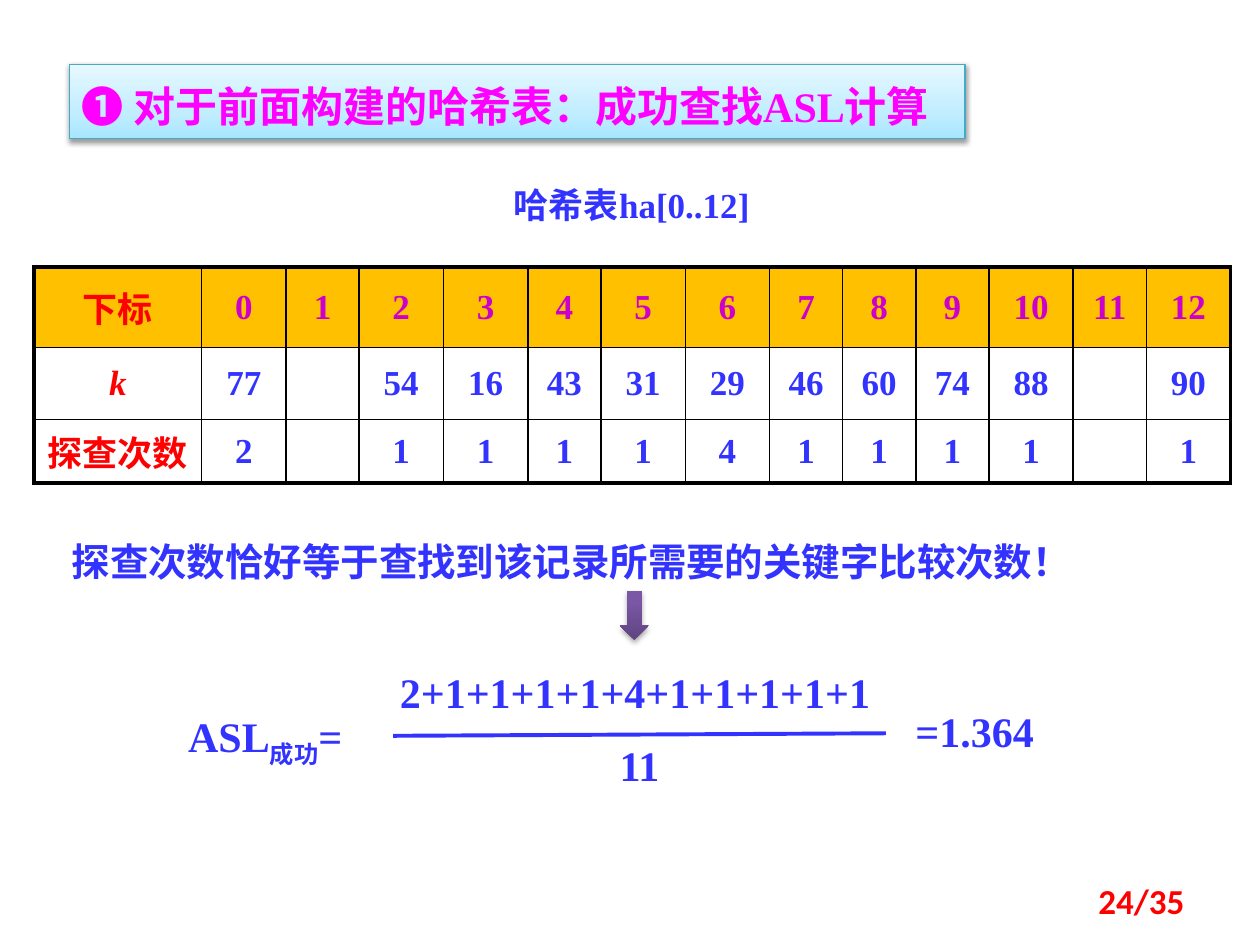
import pptx
import pptx.util
import pptx.dml.color
import pptx.enum.shapes
import pptx.enum.text
import pptx.oxml
import pptx.oxml.ns
from lxml import etree

Inches = pptx.util.Inches
Pt = pptx.util.Pt
KIND = pptx.enum.shapes.MSO_SHAPE
ALIGN = pptx.enum.text.PP_ALIGN
ANCHOR = pptx.enum.text.MSO_ANCHOR
qn = pptx.oxml.ns.qn

HUES = {
    "ink": "3333FF", "red": "FF0000", "pink": "FF00FF", "plum": "CC00CC",
    "gold": "FFC000", "black": "000000", "teal": "46AAC5",
}
SKY = [(0, "A7E6FF"), (35, "C1EDFF"), (100, "E7F8FF")]
GRAPE = [(0, "5F4480"), (80, "7B58A6"), (100, "7C57A8")]


def color(name):
    return pptx.dml.color.RGBColor.from_string(HUES[name])


def add_node(parent, tag, **attrs):
    node = etree.SubElement(parent, qn(tag))
    for key, value in attrs.items():
        node.set(key, str(value))
    return node


class Deck:
    """Holds the text style and the current slide."""

    font = "Times New Roman"

    def __init__(self):
        self.prs = pptx.Presentation()
        self.prs.slide_width = Inches(10)
        self.prs.slide_height = Inches(7.5)
        self.slide = self.prs.slides.add_slide(self.prs.slide_layouts[6])

    def add_text(self, para, text, size, hue="ink", font=None, italic=False, base=0):
        run = para.add_run()
        run.text = text
        run.font.size = Pt(size)
        run.font.name = font or self.font
        run.font.bold = True
        run.font.italic = italic
        run.font.color.rgb = color(hue)
        if base:
            run._r.get_or_add_rPr().set("baseline", str(base * 1000))

    def label(self, box, runs, size, align=ALIGN.CENTER, anchor=ANCHOR.TOP, **style):
        """Add a text box; each run is a (text, baseline percent) pair."""
        frame = self.slide.shapes.add_textbox(*map(Inches, box)).text_frame
        frame.word_wrap = True
        frame.vertical_anchor = anchor
        para = frame.paragraphs[0]
        para.alignment = align
        for text, base in runs:
            self.add_text(para, text, size, base=base, **style)

    def block(self, kind, box, stops, dist, alpha):
        """Add a shape with an upward gradient and a soft shadow below it."""
        shape = self.slide.shapes.add_shape(kind, *map(Inches, box))
        shape.line.fill.background()
        shape.shadow.inherit = False
        props = shape._element.spPr
        grad = etree.Element(qn("a:gradFill"), rotWithShape="1")
        group = add_node(grad, "a:gsLst")
        for pos, hue in stops:
            stop = add_node(group, "a:gs", pos=pos * 1000)
            add_node(stop, "a:srgbClr", val=hue)
        add_node(grad, "a:lin", ang=270 * 60000, scaled=0)
        props.find(qn("a:prstGeom")).addnext(grad)
        glow = add_node(props.find(qn("a:effectLst")), "a:outerShdw",
                        blurRad=Pt(3.1), dist=Pt(dist), dir=90 * 60000, rotWithShape=0)
        shade = add_node(glow, "a:srgbClr", val=HUES["black"])
        add_node(shade, "a:alpha", val=alpha * 1000)
        return shape

    def title(self, box, text):
        shape = self.block(KIND.RECTANGLE, box, SKY, 1.6, 38)
        shape.line.color.rgb = color("teal")
        shape.line.width = Pt(0.75)
        frame = shape.text_frame
        frame.word_wrap = False
        frame.vertical_anchor = ANCHOR.TOP
        para = frame.paragraphs[0]
        para.alignment = ALIGN.JUSTIFY
        para.line_spacing = 1.2
        self.add_text(para, text, 24, "pink")

    def rule(self, start, end):
        line = self.slide.shapes.add_connector(
            pptx.enum.shapes.MSO_CONNECTOR.STRAIGHT, *map(Inches, start + end))
        line.line.color.rgb = color("ink")
        line.line.width = Pt(2.25)
        add_node(line._element.spPr, "a:effectLst")

    def edge(self, cell, sides):
        """Draw cell borders: thick where the side is on the table's rim."""
        props = cell._tc.get_or_add_tcPr()
        for spot, (side, rim) in enumerate(sides.items()):
            line = etree.Element(qn("a:ln" + side), w=str(Pt(2.25 if rim else 1)))
            add_node(add_node(line, "a:solidFill"), "a:srgbClr", val=HUES["black"])
            props.insert(spot, line)

    def table(self, box, rows, widths, heights):
        grid = self.slide.shapes.add_table(
            len(rows), len(widths), *map(Inches, box)).table
        grid.first_row = grid.horz_banding = False
        for col, width in zip(grid.columns, widths):
            col.width = Inches(width)
        for row, height in zip(grid.rows, heights):
            row.height = Inches(height)
        for r, row in enumerate(rows):
            for c, text in enumerate(row):
                cell = grid.cell(r, c)
                cell.vertical_anchor = ANCHOR.MIDDLE
                if r == 0:
                    cell.fill.solid()
                    cell.fill.fore_color.rgb = color("gold")
                else:
                    cell.fill.background()
                self.edge(cell, {"L": c == 0, "R": c == len(row) - 1,
                                 "T": r == 0, "B": r == len(rows) - 1})
                if text:
                    hue = "red" if c == 0 else "plum" if r == 0 else "ink"
                    para = cell.text_frame.paragraphs[0]
                    para.alignment = ALIGN.CENTER
                    self.add_text(para, text, 20, hue, italic=text == "k")


def main():
    deck = Deck()
    keys = ["77", "", "54", "16", "43", "31", "29", "46", "60", "74", "88", "", "90"]
    tries = ["2", "", "1", "1", "1", "1", "4", "1", "1", "1", "1", "", "1"]
    slim = {1, 4, 7, 8, 9, 11}
    rows = [["下标"] + [str(n) for n in range(13)], ["k"] + keys, ["探查次数"] + tries]
    widths = [1.33] + [0.58 if n in slim else 0.67 for n in range(13)]
    deck.table((0.27, 2.12, 9.5, 1.71), rows, widths, [0.64, 0.57, 0.5])

    deck.label((3.98, 1.41, 2.17, 0.44), [("哈希表ha[0..12]", 0)], 20, ALIGN.LEFT)
    deck.label((1.09, 5.59, 2.03, 0.5), [("ASL", 0), ("成功", -25), ("=", 0)], 24)
    total = "+".join(t for t in tries if t)
    deck.label((2.97, 5.24, 4.14, 0.5), [(total, 0)], 24)
    deck.rule((3.12, 5.84), (7.03, 5.82))
    deck.label((4.53, 5.82, 1.09, 0.5), [("11", 0)], 24)
    deck.label((7.03, 5.55, 1.41, 0.5), [("=1.364", 0)], 24)

    deck.title((0.55, 0.51, 7.11, 0.59), "❶ 对于前面构建的哈希表：成功查找ASL计算")
    deck.label((0.47, 4.22, 8.98, 0.47),
               [("探查次数恰好等于查找到该记录所需要的关键字比较次数！", 0)], 22, ALIGN.LEFT)
    deck.block(KIND.DOWN_ARROW, (4.92, 4.69, 0.23, 0.39), GRAPE, 1.8, 35)
    deck.label((7.17, 6.95, 2.33, 0.4), [("24/35", 0)], 20, ALIGN.RIGHT,
               ANCHOR.MIDDLE, hue="red", font="Calibri")
    deck.prs.save("out.pptx")


if __name__ == "__main__":
    main()
